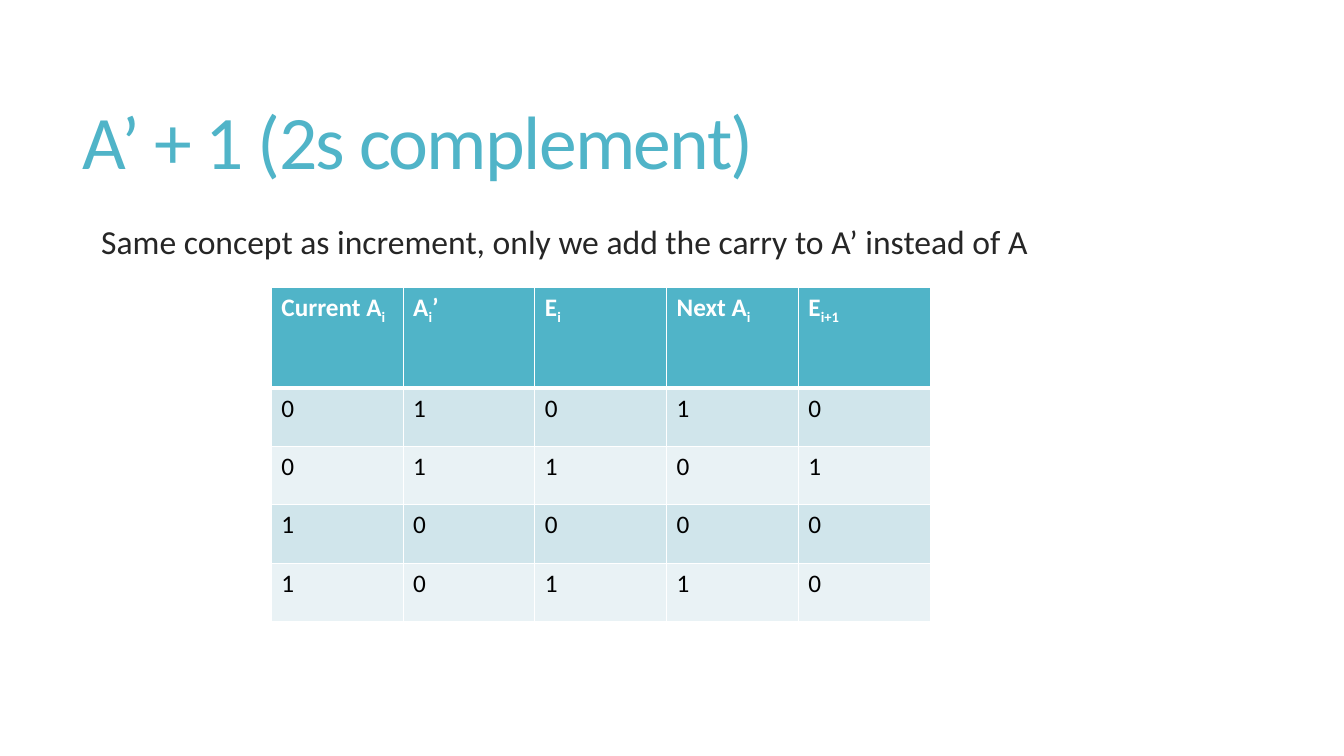
from dataclasses import dataclass

from lxml.etree import SubElement
from pptx import Presentation
from pptx.dml.color import RGBColor
from pptx.enum.text import MSO_ANCHOR
from pptx.oxml.ns import qn
from pptx.slide import Slide
from pptx.table import _Cell as Cell
from pptx.text.text import TextFrame, _Paragraph as Paragraph, _Run as Run
from pptx.util import Cm, Length, Pt


@dataclass(frozen=True)
class Theme:
    font: str = "Calibri"
    accent: str = "50B4C8"
    body: str = "262626"
    cell: str = "000000"
    white: str = "FFFFFF"
    bands: tuple[str, str] = ("D0E5EB", "E9F2F5")
    title_size: int = 54
    body_size: int = 24
    cell_size: int = 18


@dataclass(frozen=True)
class TextStyle:
    size: int
    color: str
    bold: bool = False


@dataclass(frozen=True)
class Box:
    left: Length
    top: Length
    width: Length
    height: Length


@dataclass(frozen=True)
class Heading:
    """A column heading: a letter or words, a subscript and an optional suffix."""

    base: str
    subscript: str
    suffix: str = ""


THEME = Theme()
TITLE_STYLE = TextStyle(THEME.title_size, THEME.accent)
BODY_STYLE = TextStyle(THEME.body_size, THEME.body)
HEADING_STYLE = TextStyle(THEME.cell_size, THEME.white, bold=True)
CELL_STYLE = TextStyle(THEME.cell_size, THEME.cell)

TITLE_BOX = Box(Cm(1.83), Cm(1.4), Cm(29.92), Cm(4.6))
BODY_BOX = Box(Cm(1.88), Cm(5.59), Cm(29.87), Cm(10.46))
COLUMN_WIDTH = Cm(3.32)
HEADING_HEIGHT = Cm(2.54)
ROW_HEIGHT = Cm(1.47)
BULLET_INDENT = Cm(0.25)

HEADINGS = (
    Heading("Current A", "i"),
    Heading("A", "i", "’"),
    Heading("E", "i"),
    Heading("Next A", "i"),
    Heading("E", "i+1"),
)
TRUTH_ROWS = ("01010", "01101", "10000", "10110")


def add_run(paragraph: Paragraph, text: str, style: TextStyle) -> Run:
    run = paragraph.add_run()
    run.text = text
    run.font.name = THEME.font
    run.font.size = Pt(style.size)
    run.font.bold = style.bold
    run.font.color.rgb = RGBColor.from_string(style.color)
    return run


def add_text_box(slide: Slide, box: Box) -> TextFrame:
    shape = slide.shapes.add_textbox(box.left, box.top, box.width, box.height)
    shape.text_frame.word_wrap = True
    shape.text_frame.paragraphs[0].line_spacing = 0.85
    return shape.text_frame


def add_title(slide: Slide) -> None:
    frame = add_text_box(slide, TITLE_BOX)
    frame.vertical_anchor = MSO_ANCHOR.MIDDLE
    run = add_run(frame.paragraphs[0], "A’ + 1 (2s complement)", TITLE_STYLE)
    run.font._element.set("spc", "-120")


def add_body(slide: Slide) -> None:
    paragraph = add_text_box(slide, BODY_BOX).paragraphs[0]
    paragraph.space_before = Pt(13)
    properties = paragraph._p.get_or_add_pPr()
    properties.set("marL", str(BULLET_INDENT))
    properties.set("indent", str(-BULLET_INDENT))
    SubElement(properties, qn("a:buChar"), char=" ")
    add_run(
        paragraph,
        "Same concept as increment, only we add the carry to A’ instead of A",
        BODY_STYLE,
    )


def paint_cell(cell: Cell, fill: str, top_width: int, bottom_width: int) -> None:
    """Draw the white borders, then the fill, in the order the schema requires."""
    properties = cell._tc.get_or_add_tcPr()
    widths = {"lnL": 1, "lnR": 1, "lnT": top_width, "lnB": bottom_width}
    for side, width in widths.items():
        line = SubElement(properties, qn(f"a:{side}"), w=str(Pt(width)))
        line_fill = SubElement(line, qn("a:solidFill"))
        SubElement(line_fill, qn("a:srgbClr"), val=THEME.white)
    cell.fill.solid()
    cell.fill.fore_color.rgb = RGBColor.from_string(fill)


def write_heading(paragraph: Paragraph, heading: Heading) -> None:
    add_run(paragraph, heading.base, HEADING_STYLE)
    subscript = add_run(paragraph, heading.subscript, HEADING_STYLE)
    subscript.font._element.set("baseline", "-25000")
    if heading.suffix:
        add_run(paragraph, heading.suffix, HEADING_STYLE)


def add_truth_table(slide: Slide) -> None:
    table = slide.shapes.add_table(
        len(TRUTH_ROWS) + 1,
        len(HEADINGS),
        Cm(6.84),
        Cm(7.24),
        COLUMN_WIDTH * len(HEADINGS),
        HEADING_HEIGHT + ROW_HEIGHT * len(TRUTH_ROWS),
    ).table
    for column in table.columns:
        column.width = COLUMN_WIDTH
    for index, row in enumerate(table.rows):
        row.height = ROW_HEIGHT if index else HEADING_HEIGHT

    for column_index, heading in enumerate(HEADINGS):
        cell = table.cell(0, column_index)
        paint_cell(cell, THEME.accent, top_width=1, bottom_width=3)
        write_heading(cell.text_frame.paragraphs[0], heading)
    for row_index, bits in enumerate(TRUTH_ROWS):
        for column_index, bit in enumerate(bits):
            cell = table.cell(row_index + 1, column_index)
            top_width = 1 if row_index else 3
            paint_cell(cell, THEME.bands[row_index % 2], top_width, bottom_width=1)
            add_run(cell.text_frame.paragraphs[0], bit, CELL_STYLE)


def main() -> None:
    presentation = Presentation()
    presentation.slide_width = Cm(33.87)
    presentation.slide_height = Cm(19.05)
    slide = presentation.slides.add_slide(presentation.slide_layouts[6])
    add_title(slide)
    add_body(slide)
    add_truth_table(slide)
    presentation.save("out.pptx")


if __name__ == "__main__":
    main()
